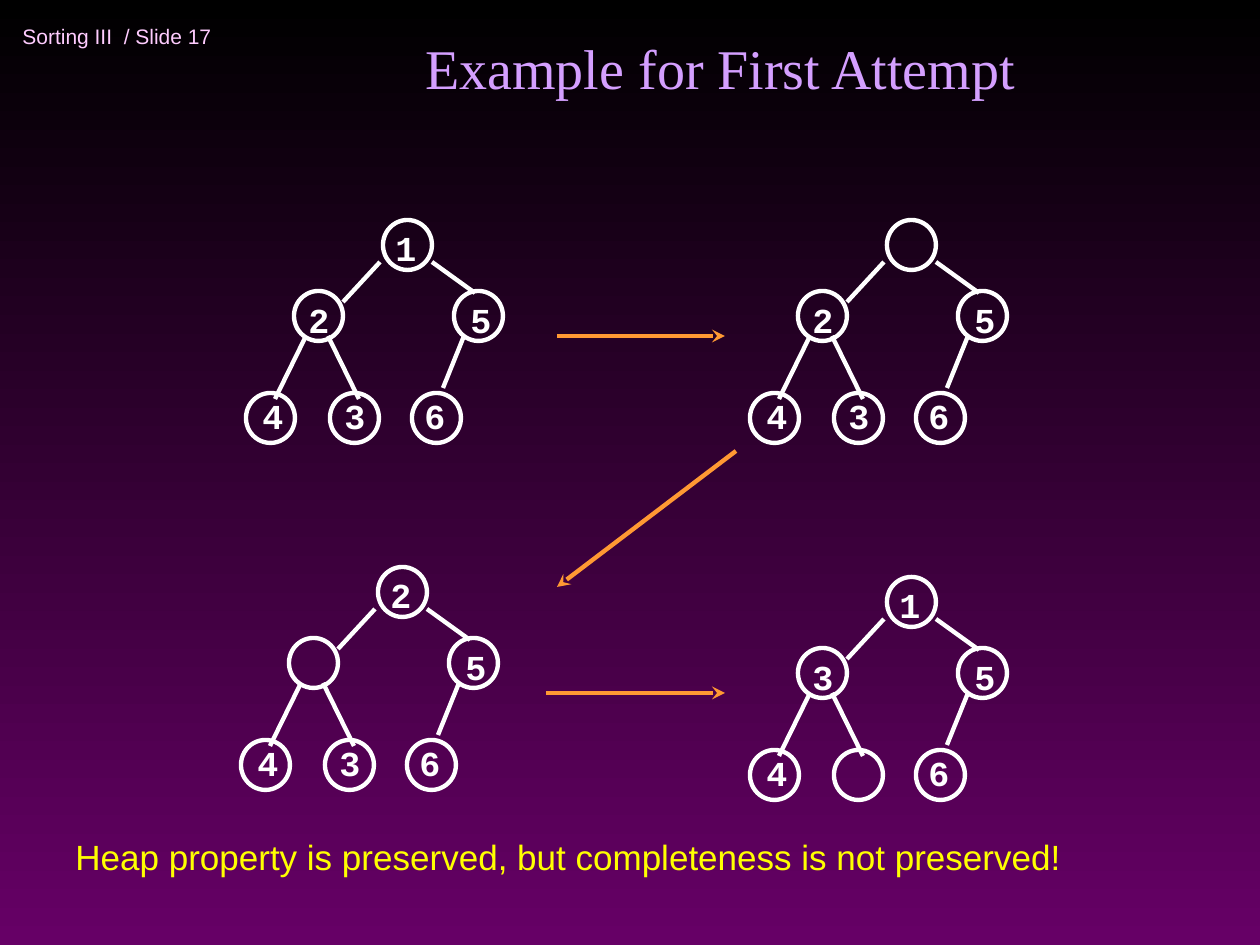
from lxml import etree
from pptx import Presentation
from pptx import util as u
from pptx.dml.color import RGBColor
from pptx.enum import shapes, text
from pptx.oxml.ns import qn

PX = 914400 // 126
COLORS = {"top": "000000", "bottom": "660066", "header": "FFCCFF", "title": "D49FFF",
          "tree": "FFFFFF", "arrow": "FF9933", "note": "FFFF00"}

# Content: each tree has its origin and its values, level by level (None = hole)
TREES = [
    ((246, 220), ["1", "2", "5", "4", "3", "6"]),
    ((750, 220), [None, "2", "5", "4", "3", "6"]),
    ((241, 567), ["2", None, "5", "4", "3", "6"]),
    ((750, 577), ["1", "3", "5", "4", None, "6"]),
]
ARROWS = [((557, 336), (725, 336)), ((736, 451), (557, 587)), ((546, 693), (725, 693))]
HEADER = "Sorting III  / Slide 17"
TITLE = "Example for First Attempt"
NOTE = "Heap property is preserved, but completeness is not preserved!"

# Tree geometry, relative to the tree's origin
NODE_W, NODE_H = 49, 50
LABEL_W, LABEL_H = 45, 55
NODES = [(137, 0), (48, 71), (208, 71), (0, 173), (84, 173), (166, 173)]
LABELS = [(137, 0), (50, 72), (212, 72), (4, 168), (86, 168), (166, 168)]
EDGES = [((134, 42), (97, 82)), ((186, 42), (229, 73)), ((60, 116), (29, 179)),
         ((82, 116), (113, 179)), ((218, 116), (197, 168))]


def px(*values):
    return [v * PX for v in values]


def color(name):
    return RGBColor.from_string(COLORS[name])


def add_text(parent, box, content, size, font, fill, bold=False, wrap=False, grow=True,
             anchor=text.MSO_ANCHOR.TOP, align=text.PP_ALIGN.LEFT):
    tf = parent.add_textbox(*px(*box)).text_frame
    tf.word_wrap = wrap
    tf.vertical_anchor = anchor
    tf.auto_size = text.MSO_AUTO_SIZE.SHAPE_TO_FIT_TEXT if grow else text.MSO_AUTO_SIZE.NONE
    tf.text = content
    p = tf.paragraphs[0]
    p.alignment = align
    f = p.runs[0].font
    f.size, f.name, f.bold = u.Pt(size), font, bold
    f.color.rgb = color(fill)


def add_line(parent, start, end, fill, arrow=False):
    c = parent.add_connector(shapes.MSO_CONNECTOR.STRAIGHT, *px(*start, *end))
    c.line.width = u.Pt(2.5)
    c.line.color.rgb = color(fill)
    if arrow:
        etree.SubElement(c.line._get_or_add_ln(), qn("a:tailEnd"), type="stealth")
    etree.SubElement(c._element.spPr, qn("a:effectLst"))


def add_tree(s, origin, values):
    ox, oy = origin
    group = s.shapes.add_group_shape().shapes
    for x, y in NODES:
        sp = group.add_shape(shapes.MSO_SHAPE.OVAL, *px(ox + x, oy + y, NODE_W, NODE_H))
        sp.shadow.inherit = False
        sp.fill.background()
        sp.line.width = u.Pt(2.5)
        sp.line.color.rgb = color("tree")
    for (x1, y1), (x2, y2) in EDGES:
        add_line(group, (ox + x1, oy + y1), (ox + x2, oy + y2), "tree")
    for (x, y), value in zip(LABELS, values):
        if value:
            add_text(group, (ox + x, oy + y, LABEL_W, LABEL_H), value,
                     20, "Courier New", "tree", bold=True)


def main():
    prs = Presentation()
    prs.slide_width, prs.slide_height = px(1260, 945)
    s = prs.slides.add_slide(prs.slide_layouts[6])

    # Background, dark at the top
    fill = s.background.fill
    fill.gradient()
    fill.gradient_angle = 270
    for stop, position, name in zip(fill.gradient_stops, (0, 1), ("top", "bottom")):
        stop.position = position
        stop.color.rgb = color(name)

    # Header and title
    add_text(s.shapes, (10, 10, 347, 53), HEADER, 12, "Arial", "header",
             grow=False, anchor=text.MSO_ANCHOR.MIDDLE)
    add_text(s.shapes, (306, 32, 829, 75), TITLE, 32, "Times New Roman", "title", wrap=True,
             grow=False, anchor=text.MSO_ANCHOR.BOTTOM, align=text.PP_ALIGN.CENTER)

    # Heaps, the note below them and the arrows between them
    for origin, values in TREES:
        add_tree(s, origin, values)
    add_text(s.shapes, (63, 829, 1071, 55), NOTE, 20, "Arial", "note", wrap=True)
    for start, end in ARROWS:
        add_line(s.shapes, start, end, "arrow", arrow=True)

    prs.save("out.pptx")


if __name__ == "__main__":
    main()
